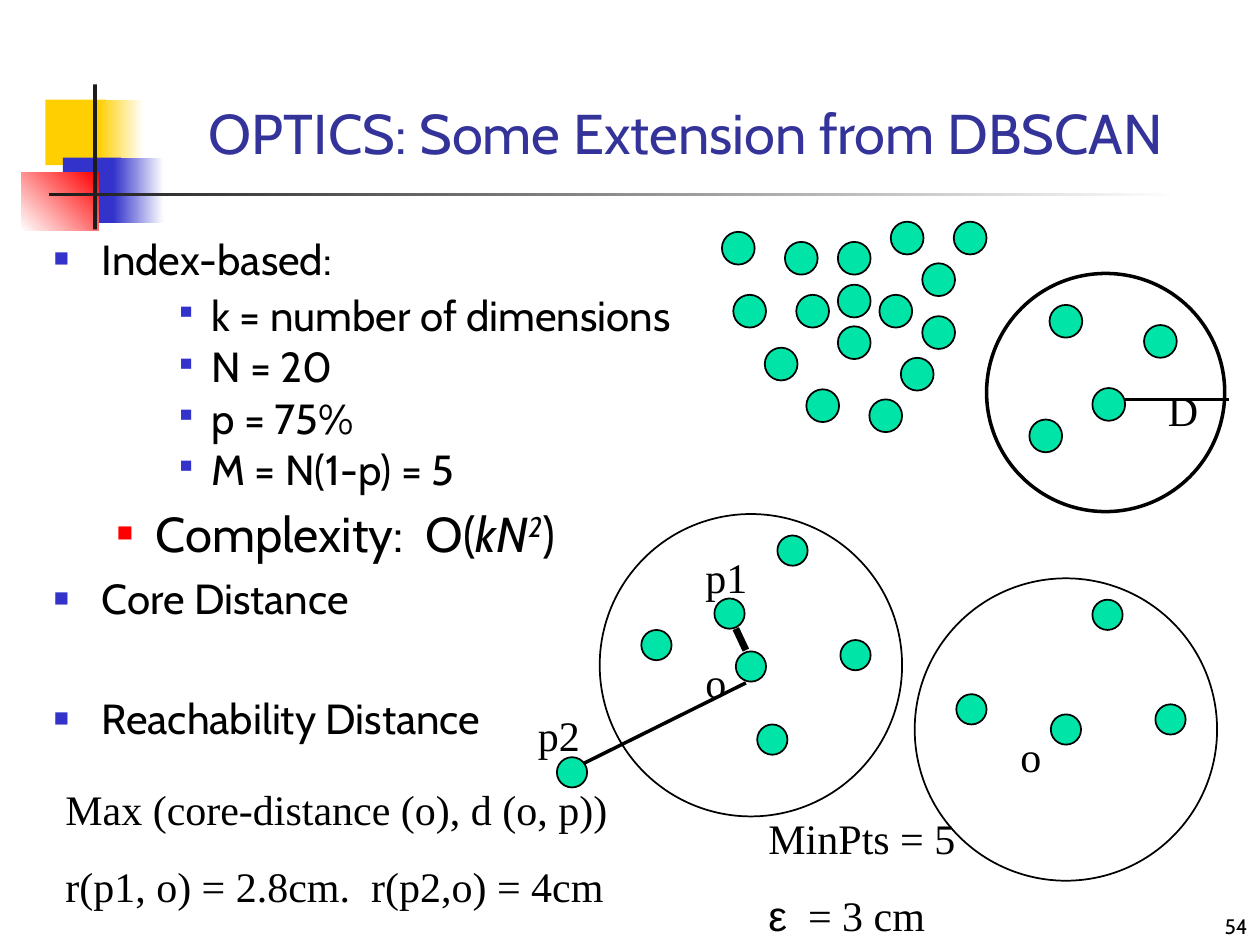
from dataclasses import dataclass
from lxml import etree
from pptx import Presentation
from pptx.dml.color import RGBColor
from pptx.enum.shapes import MSO_CONNECTOR, MSO_SHAPE
from pptx.enum.text import MSO_ANCHOR, PP_ALIGN
from pptx.oxml.ns import qn
from pptx.util import Emu, Pt

RECT, OVAL, LINE = MSO_SHAPE.RECTANGLE, MSO_SHAPE.OVAL, MSO_CONNECTOR.STRAIGHT
TOP, MIDDLE, BOTTOM = MSO_ANCHOR.TOP, MSO_ANCHOR.MIDDLE, MSO_ANCHOR.BOTTOM
LEFT, RIGHT = PP_ALIGN.LEFT, PP_ALIGN.RIGHT
SCALE = 9144


@dataclass(frozen=True)
class Theme:
    gold: str = "FFCF01"
    blue: str = "3333CC"
    red: str = "FF0000"
    dark: str = "1C1C1C"
    white: str = "FFFFFF"
    black: str = "000000"
    title: str = "333399"
    dot: str = "00E4A8"
    sans: str = "Cabin"
    serif: str = "Times New Roman"
    greek: str = "Arial"
    head: int = 32
    big: int = 28
    body: int = 24
    small: int = 12


T = Theme()


def px(*vals):
    return [Emu(v * SCALE) for v in vals]


def rgb(code):
    return RGBColor.from_string(code)


def add_shape(slide, kind, box, fill=None, width=0, fade=None, angle=0):
    shape = slide.shapes.add_shape(kind, *px(*box))
    shape.shadow.inherit = False
    if fade:
        shape.fill.gradient()
        shape.fill.gradient_angle = angle
        for stop, code in zip(shape.fill.gradient_stops, (fill, fade)):
            stop.color.rgb = rgb(code)
    elif fill:
        shape.fill.solid()
        shape.fill.fore_color.rgb = rgb(fill)
    else:
        shape.fill.background()
    if width:
        shape.line.color.rgb = rgb(T.black)
        shape.line.width = Pt(width)
    else:
        shape.line.fill.background()


def add_line(slide, start, end, width):
    line = slide.shapes.add_connector(LINE, *px(*start, *end))
    line.line.color.rgb = rgb(T.black)
    line.line.width = Pt(width)
    etree.SubElement(line._element.spPr, qn("a:effectLst"))


def add_frame(slide, box, anchor=TOP):
    frame = slide.shapes.add_textbox(*px(*box)).text_frame
    frame.word_wrap = True
    frame.vertical_anchor = anchor
    return frame


def add_run(para, text, face, size, color=T.black):
    run = para.add_run()
    run.text = text
    run.font.name = face
    run.font.size = Pt(size)
    run.font.color.rgb = rgb(color)
    return run


def add_text(slide, box, paras, size=T.body, color=T.black, anchor=TOP, align=LEFT):
    frame = add_frame(slide, box, anchor)
    for i, runs in enumerate(paras):
        para = frame.add_paragraph() if i else frame.paragraphs[0]
        para.alignment = align
        if i:
            para.space_before = Pt(15)
        for text, face in runs:
            add_run(para, text, face, size, color)


def add_bullet(para, left, hang, color, size):
    props = para._p.get_or_add_pPr()
    props.set("marL", str(left * SCALE))
    props.set("indent", str(-hang * SCALE))
    tint = etree.SubElement(props, qn("a:buClr"))
    etree.SubElement(tint, qn("a:srgbClr"), val=color)
    etree.SubElement(props, qn("a:buSzPct"), val=str(size * 1000))
    etree.SubElement(props, qn("a:buFont"), typeface=T.greek)
    etree.SubElement(props, qn("a:buChar"), char="■")


def draw_logo(slide, box):
    x, y = box
    for dx, dy, w, h, *look in (
        (19, 12, 48, 52, T.gold),
        (61, 12, 36, 52, T.gold, 0, T.white),
        (33, 58, 46, 52, T.blue),
        (73, 58, 40, 52, T.blue, 0, T.white),
        (0, 70, 61, 46, T.white, 0, T.red, 45),
        (57, 0, 3, 115, T.dark),
        (22, 86, 900, 3, T.dark, 0, T.white),
    ):
        add_shape(slide, RECT, (x + dx, y + dy, w, h), *look)


def draw_list(slide, box):
    frame = add_frame(slide, box)
    main = (0, 38, 38, T.blue, 60)
    deep = (2, 125, 25, T.blue, 50)
    note = (1, 81, 31, T.red, 55)
    items = (
        (main, 0, "Index-based:"),
        (deep, 16, "k = number of dimensions"),
        (deep, 15, "N = 20"),
        (deep, 15, "p = 75%"),
        (deep, 15, "M = N(1-p) = 5"),
        (note, 7, "Complexity:  O("),
        (main, 6, "Core Distance"),
        (main, 40, "Reachability Distance"),
    )
    for i, (style, gap, text) in enumerate(items):
        para = frame.add_paragraph() if i else frame.paragraphs[0]
        para.level = style[0]
        add_bullet(para, *style[1:])
        para.space_before = Pt(gap)
        if style is deep:
            para.line_spacing = 0.5
        add_run(para, text, T.sans, T.big if style is note else T.body)
        if style is note:
            add_run(para, "kN", T.sans, T.big).font.italic = True
            power = add_run(para, "2", T.sans, T.big)
            power.font.italic = True
            power.font._element.set("baseline", "30000")
            add_run(para, ")", T.sans, T.big)


def draw_dots(slide, box, spots, size):
    x, y = box
    for dx, dy in spots:
        add_shape(slide, OVAL, (x + dx, y + dy, size, size), T.dot, 1)


def draw_ring(slide, box, width, spots, size, tags, links=()):
    x, y, side = box
    add_shape(slide, OVAL, (x, y, side, side), width=width)
    for ax, ay, bx, by, thick in links:
        add_line(slide, (x + ax, y + ay), (x + bx, y + by), thick)
    draw_dots(slide, (x, y), spots, size)
    for dx, dy, name in tags:
        add_text(slide, (x + dx, y + dy, 58, 50), [[(name, T.serif)]])


def main():
    deck = Presentation()
    deck.slide_width, deck.slide_height = px(1000, 750)
    slide = deck.slides.add_slide(deck.slide_layouts[6])
    draw_logo(slide, (17, 67))
    add_text(slide, (792, 708, 208, 42), [[("54", T.sans)]], T.small,
             anchor=BOTTOM, align=RIGHT)
    add_text(slide, (156, 81, 790, 48), [[("OPTICS: Some Extension from DBSCAN", T.sans)]],
             T.head, T.title, MIDDLE)
    draw_list(slide, (33, 180, 933, 545))
    draw_dots(slide, (573, 176), (
        (50, 16), (59, 58), (92, 50), (34, 100), (125, 58), (92, 16),
        (67, 133), (159, 33), (134, 0), (159, 75), (142, 108), (92, 83),
        (9, 58), (117, 141), (184, 0), (0, 8)), 26)
    draw_ring(slide, (783, 217, 189), 2, ((125, 41), (34, 116), (84, 91), (50, 25)), 26,
              [(134, 83, "D")], [(109, 100, 192, 100, 2)])
    around = [(33, 92), (191, 100), (141, 17)]
    draw_ring(slide, (476, 408, 240), 1,
              around + [(91, 67), (108, 109), (125, 167), (-34, 193)], 24,
              [(-59, 150, "p2"), (74, 108, "o"), (74, 25, "p1")],
              [(108, 91, 116, 108, 4), (116, 134, -17, 200, 2)])
    draw_ring(slide, (726, 459, 240), 1, around + [(108, 108)], 24, [(74, 116, "o")])
    add_text(slide, (600, 640, 192, 111), [
        [("MinPts = 5", T.serif)], [("ε", T.greek), ("  = 3 cm", T.serif)]])
    add_text(slide, (42, 617, 475, 111), [
        [("Max (core-distance (o), d (o, p))", T.serif)],
        [("r(p1, o) = 2.8cm.  r(p2,o) = 4cm", T.serif)]])
    deck.save("out.pptx")


if __name__ == "__main__":
    main()
